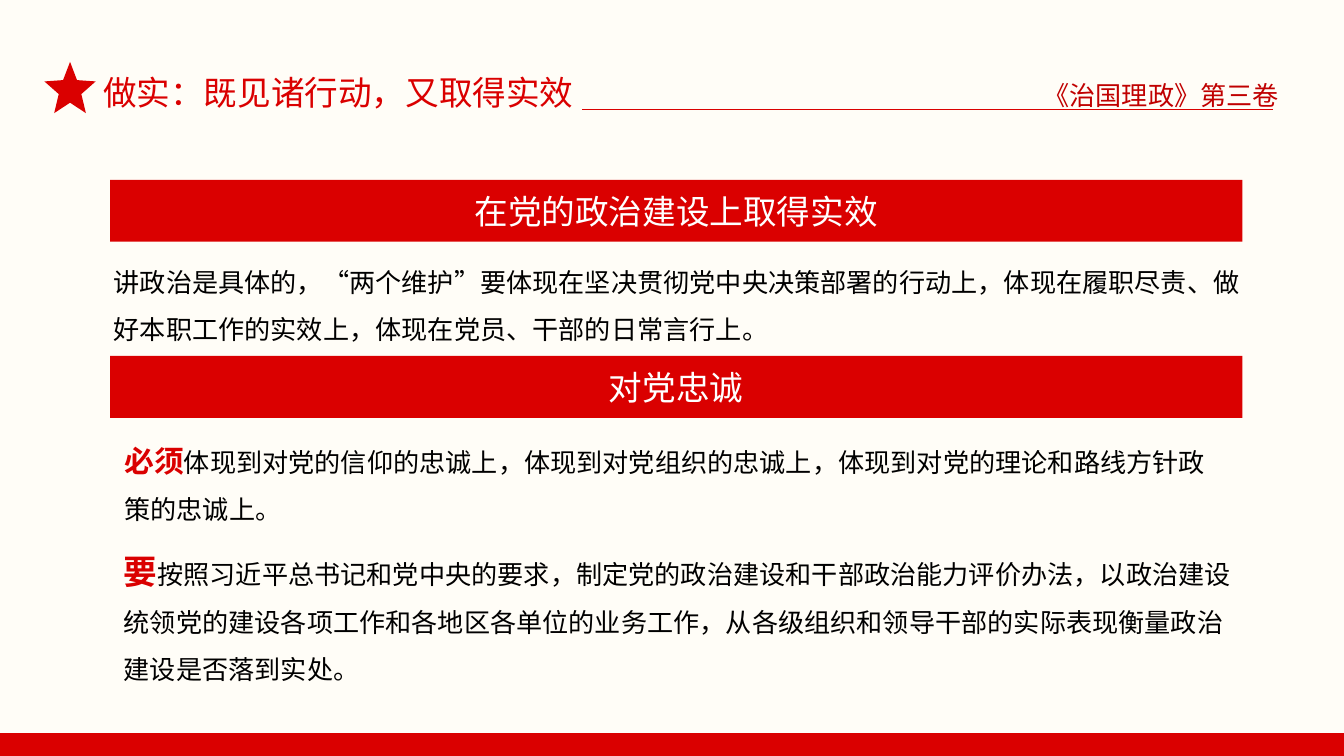
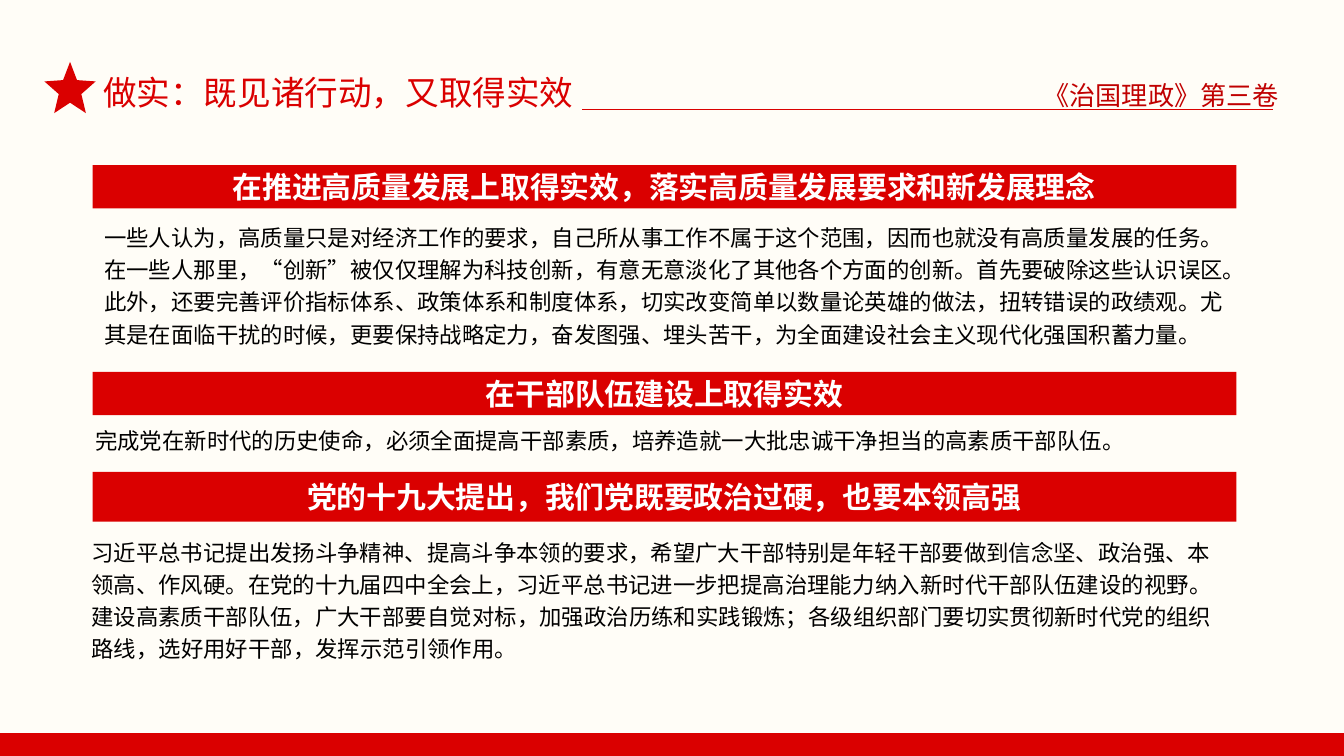
from pptx import Presentation
from pptx.dml.color import RGBColor
from pptx.enum.shapes import MSO_CONNECTOR, MSO_SHAPE
from pptx.enum.text import MSO_ANCHOR as ANCHOR, MSO_AUTO_SIZE as AUTO, PP_ALIGN as ALIGN
from pptx.oxml.ns import qn
from pptx.util import Cm, Pt
from lxml.etree import SubElement

RED = RGBColor(0xDA, 0x00, 0x00)
DARK_RED = RGBColor(0xC0, 0x00, 0x00)
CREAM = RGBColor(0xFF, 0xFD, 0xF7)
WHITE = RGBColor(0xFF, 0xFF, 0xFF)
BLACK = RGBColor(0x00, 0x00, 0x00)
CJK = "Noto Sans CJK SC"

W, H = 25.4, 14.29
BAND_H = 0.43


def add_text(sp, runs, align=ALIGN.LEFT, spacing=None, wrap=True, grow=True, font=CJK):
    """Fill a shape with one paragraph of (text, size, colour, bold) runs."""
    tf = sp.text_frame
    tf.word_wrap = wrap
    tf.auto_size = AUTO.SHAPE_TO_FIT_TEXT if grow else AUTO.NONE
    p = tf.paragraphs[0]
    p.alignment = align
    p.line_spacing = spacing
    for text, size, color, bold in runs:
        r = p.add_run()
        r.text = text
        r.font.name = font
        r.font.size = Pt(size)
        r.font.bold = bold
        r.font.color.rgb = color
        SubElement(r.font._element, qn("a:ea")).set("typeface", CJK)


def add_red(s, kind, left, top, width, height):
    sp = s.shapes.add_shape(kind, Cm(left), Cm(top), Cm(width), Cm(height))
    sp.shadow.inherit = False
    sp.fill.solid()
    sp.fill.fore_color.rgb = RED
    sp.line.fill.background()
    return sp


# Per slide: bar left and width, heading size and weight, bars, body texts
slides = [
    {
        "bar": (2.08, 21.4), "heading": (18, False),
        "bars": [
            (3.4, 1.17, "在党的政治建设上取得实效"),
            (6.73, 1.17, "对党忠诚"),
        ],
        "bodies": [
            (1.9, 4.62, 22.22, 2.06, 1.5, [
                ("讲政治是具体的，“两个维护”要体现在坚决贯彻党中央决策部署的行动上，"
                 "体现在履职尽责、做好本职工作的实效上，体现在党员、干部的日常言行上。",
                 14, BLACK, False)]),
            (2.1, 7.9, 21.39, 2.18, 1.5, [
                ("必须", 16, RED, True),
                ("体现到对党的信仰的忠诚上，体现到对党组织的忠诚上，"
                 "体现到对党的理论和路线方针政策的忠诚上。", 14, BLACK, False)]),
            (2.09, 9.9, 21.62, 3.2, 1.5, [
                ("要", 18, RED, True),
                ("按照习近平总书记和党中央的要求，制定党的政治建设和干部政治能力评价办法，"
                 "以政治建设统领党的建设各项工作和各地区各单位的业务工作，"
                 "从各级组织和领导干部的实际表现衡量政治建设是否落到实处。",
                 14, BLACK, False)]),
        ],
    },
    {
        "bar": (1.75, 21.62), "heading": (16, True),
        "bars": [
            (3.12, 0.82, "在推进高质量发展上取得实效，落实高质量发展要求和新发展理念"),
            (7.03, 0.82, "在干部队伍建设上取得实效"),
            (8.92, 0.94, "党的十九大提出，我们党既要政治过硬，也要本领高强"),
        ],
        "bodies": [
            (1.72, 4.01, 22.02, 3.28, 1.2, [
                ("一些人认为，高质量只是对经济工作的要求，自己所从事工作不属于这个范围，"
                 "因而也就没有高质量发展的任务。在一些人那里，“创新”被仅仅理解为科技创新，"
                 "有意无意淡化了其他各个方面的创新。首先要破除这些认识误区。"
                 "此外，还要完善评价指标体系、政策体系和制度体系，"
                 "切实改变简单以数量论英雄的做法，扭转错误的政绩观。"
                 "尤其是在面临干扰的时候，更要保持战略定力，奋发图强、埋头苦干，"
                 "为全面建设社会主义现代化强国积蓄力量。", 12, BLACK, False)]),
            (1.55, 7.7, 22.02, 0.94, 1.5, [
                ("完成党在新时代的历史使命，必须全面提高干部素质，"
                 "培养造就一大批忠诚干净担当的高素质干部队伍。", 12, BLACK, False)]),
            (1.48, 9.96, 22.05, 2.67, 1.2, [
                ("习近平总书记提出发扬斗争精神、提高斗争本领的要求，"
                 "希望广大干部特别是年轻干部要做到信念坚、政治强、本领高、作风硬。"
                 "在党的十九届四中全会上，习近平总书记进一步把提高治理能力纳入新时代"
                 "干部队伍建设的视野。建设高素质干部队伍，广大干部要自觉对标，"
                 "加强政治历练和实践锻炼；各级组织部门要切实贯彻新时代党的组织路线，"
                 "选好用好干部，发挥示范引领作用。", 12, BLACK, False)]),
        ],
    },
]

prs = Presentation()
prs.slide_width, prs.slide_height = Cm(W), Cm(H)

for data in slides:
    s = prs.slides.add_slide(prs.slide_layouts[6])
    s.background.fill.solid()
    s.background.fill.fore_color.rgb = CREAM

    # Header: title, book name, star and rule
    title = s.shapes.add_textbox(Cm(1.7), Cm(1.24), Cm(9.5), Cm(1.02))
    add_text(title, [("做实：既见诸行动，又取得实效", 18, RED, False)], wrap=False, font="Arial")
    book = s.shapes.add_textbox(Cm(19.43), Cm(1.37), Cm(5), Cm(0.86))
    add_text(book, [("《治国理政》第三卷", 14, DARK_RED, False)], ALIGN.RIGHT, wrap=False)
    star = add_red(s, MSO_SHAPE.STAR_5_POINT, 0.84, 1.17, 0.97, 0.97)
    star.adjustments[0] = 0.22
    rule = s.shapes.add_connector(MSO_CONNECTOR.STRAIGHT, Cm(11), Cm(2.06), Cm(24.05), Cm(2.06))
    rule.line.color.rgb = RED
    rule.line.width = Pt(0.5)
    SubElement(rule._element.spPr, qn("a:effectLst"))

    # Footer band
    add_red(s, MSO_SHAPE.RECTANGLE, 0, H - BAND_H, W, BAND_H)

    # Heading bars
    left, width = data["bar"]
    size, bold = data["heading"]
    for top, height, text in data["bars"]:
        bar = add_red(s, MSO_SHAPE.RECTANGLE, left, top, width, height)
        bar.text_frame.vertical_anchor = ANCHOR.MIDDLE
        add_text(bar, [(text, size, WHITE, bold)], ALIGN.CENTER, grow=False)

    # Body texts
    for left, top, width, height, spacing, runs in data["bodies"]:
        body = s.shapes.add_textbox(Cm(left), Cm(top), Cm(width), Cm(height))
        add_text(body, runs, spacing=spacing)

prs.save("out.pptx")
